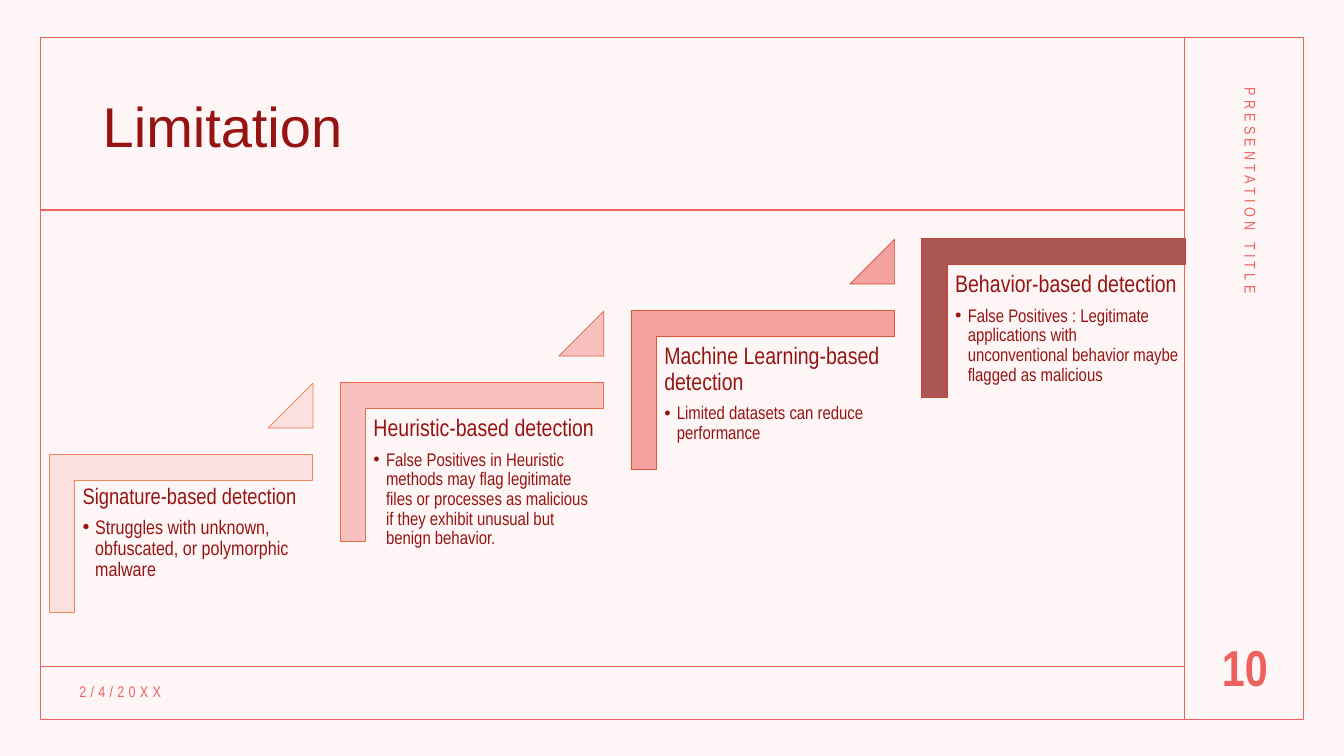
"""Build the Limitation slide: four detection methods on a rising staircase."""
from lxml.etree import SubElement
from pptx import Presentation
from pptx.dml.color import RGBColor
from pptx.enum.shapes import MSO_CONNECTOR, MSO_SHAPE
from pptx.enum.text import MSO_ANCHOR, MSO_AUTO_SIZE, PP_ALIGN
from pptx.oxml.ns import qn
from pptx.util import Pt

CORAL = RGBColor(0xED, 0x62, 0x5F)
DARK_RED = RGBColor(0x95, 0x14, 0x11)
BACKGROUND = RGBColor(0xFE, 0xF6, 0xF6)

STEPS = [
    {"heading": "Signature-based detection",
     "limit": "Struggles with unknown, obfuscated, or polymorphic malware",
     "sizes": (16, 14), "text_shift": -2.5, "fill": RGBColor(0xFB, 0xE0, 0xDF),
     "corner_line": RGBColor(0xF2, 0x85, 0x5A), "triangle_line": RGBColor(0xED, 0x79, 0x51)},
    {"heading": "Heuristic-based detection",
     "limit": "False Positives in Heuristic methods may flag legitimate files or processes "
              "as malicious if they exhibit unusual but benign behavior.",
     "sizes": (17, 13), "text_shift": 0, "fill": RGBColor(0xF8, 0xC0, 0xBF),
     "corner_line": RGBColor(0xE7, 0x6E, 0x48), "triangle_line": RGBColor(0xE0, 0x63, 0x41)},
    {"heading": "Machine Learning-based detection",
     "limit": "Limited datasets can reduce performance",
     "sizes": (17, 13), "text_shift": 0, "fill": RGBColor(0xF4, 0xA1, 0x9F),
     "corner_line": RGBColor(0xD9, 0x58, 0x39), "triangle_line": RGBColor(0xD2, 0x4D, 0x33)},
    {"heading": "Behavior-based detection",
     "limit": "False Positives : Legitimate applications with unconventional behavior "
              "maybe flagged as malicious",
     "sizes": (17, 13), "text_shift": 0, "fill": RGBColor(0xAC, 0x56, 0x54),
     "corner_line": RGBColor(0xC4, 0x47, 0x32), "triangle_line": None},
]
STEP_RIGHT, STEP_UP = 207.75, 51.4

FRAME = (29, 26.6, 902.2, 487.2)
DIVIDERS = [(846, 26.6, 846, 513.8), (29, 150, 846, 150), (29, 476, 846, 476)]

SMALL = {"name": "Arial Narrow", "size": Pt(11), "color": CORAL}
NUMBER = {"name": "Arial Narrow", "size": Pt(36), "color": CORAL, "bold": True}
LABELS = [
    {"text": "PRESENTATION TITLE", "box": (727.2, 203, 324, 28.8), "rotation": 90,
     "format": SMALL, "spacing": 3, "align": PP_ALIGN.LEFT, "anchor": MSO_ANCHOR.TOP},
    {"text": "2/4/20XX", "box": (49.7, 483.8, 248.4, 22.3), "rotation": 0,
     "format": SMALL, "spacing": 3, "align": PP_ALIGN.LEFT, "anchor": MSO_ANCHOR.TOP},
    {"text": "10", "box": (851.8, 446.4, 74.9, 59.8), "rotation": 0,
     "format": NUMBER, "spacing": 0, "align": PP_ALIGN.CENTER, "anchor": MSO_ANCHOR.MIDDLE},
]


def points(values):
    return [Pt(value) for value in values]


def apply_format(font, values):
    for name, value in values.items():
        if name == "color":
            font.color.rgb = value
        else:
            setattr(font, name, value)


def add_filled(slide, kind, box, adjustments, fill, line, width):
    shape = slide.shapes.add_shape(kind, *points(box))
    shape.shadow.inherit = False
    for index, value in enumerate(adjustments):
        shape.adjustments[index] = value
    if fill is None:
        shape.fill.background()
    else:
        shape.fill.solid()
        shape.fill.fore_color.rgb = fill
    shape.line.color.rgb = line
    shape.line.width = Pt(width)
    return shape


def add_frame(slide):
    add_filled(slide, MSO_SHAPE.RECTANGLE, FRAME, (), None, CORAL, 1)
    for ends in DIVIDERS:
        divider = slide.shapes.add_connector(MSO_CONNECTOR.STRAIGHT, *points(ends))
        divider.line.color.rgb = CORAL
        divider.line.width = Pt(1)
        SubElement(divider._element.spPr, qn("a:effectLst"))


def set_title(slide):
    title = slide.shapes.title
    title.left, title.top, title.width, title.height = points((66.2, 43.2, 750.2, 97.9))
    frame = title.text_frame
    frame.text = "Limitation"
    frame.auto_size = MSO_AUTO_SIZE.NONE
    frame.vertical_anchor = MSO_ANCHOR.MIDDLE
    paragraph = frame.paragraphs[0]
    paragraph.alignment = PP_ALIGN.LEFT
    paragraph.line_spacing = 0.9
    apply_format(paragraph.runs[0].font, {"name": "Arial", "size": Pt(40), "color": DARK_RED})


def add_label(slide, label):
    shape = slide.shapes.add_textbox(*points(label["box"]))
    shape.rotation = label["rotation"]
    frame = shape.text_frame
    frame.word_wrap = True
    frame.vertical_anchor = label["anchor"]
    paragraph = frame.paragraphs[0]
    paragraph.alignment = label["align"]
    run = paragraph.add_run()
    run.text = label["text"]
    apply_format(run.font, label["format"])
    if label["spacing"]:
        run._r.get_or_add_rPr().set("spc", str(label["spacing"] * 100))


def add_step_text(slide, step, left, top):
    frame = slide.shapes.add_textbox(*points((left, top, 170, 148.5))).text_frame
    frame.word_wrap = True
    for side in ("left", "top", "right", "bottom"):
        setattr(frame, f"margin_{side}", Pt(5))
    heading, limit = frame.paragraphs[0], frame.add_paragraph()
    limit.level = 1
    properties = limit._p.get_or_add_pPr()
    properties.set("marL", str(Pt(9)))
    properties.set("indent", str(-Pt(9)))
    SubElement(properties, qn("a:buFont"), typeface="Arial")
    SubElement(properties, qn("a:buChar"), char="•")
    texts = (step["heading"], step["limit"])
    for paragraph, text, size, after in zip((heading, limit), texts, step["sizes"], (6, 2)):
        paragraph.line_spacing = 0.9
        paragraph.space_after = Pt(after)
        run = paragraph.add_run()
        run.text = text
        apply_format(run.font, {"name": "Arial Narrow", "size": Pt(size), "color": DARK_RED})


def add_step(slide, index, step):
    right, up = index * STEP_RIGHT, index * STEP_UP
    corner = add_filled(slide, MSO_SHAPE.CORNER, (72.7 + right, 287.3 - up, 113, 188),
                        (0.161, 0.161), step["fill"], step["corner_line"], 0.5)
    corner.rotation = 90
    add_step_text(slide, step, 54 + right, 343.7 - up + step["text_shift"])
    if step["triangle_line"] is not None:
        add_filled(slide, MSO_SHAPE.ISOSCELES_TRIANGLE, (191.5 + right, 273.7 - up, 32, 32),
                   (1,), step["fill"], step["triangle_line"], 0.5)


def main():
    presentation = Presentation()
    presentation.slide_width, presentation.slide_height = points((960, 540))
    slide = presentation.slides.add_slide(presentation.slide_layouts[5])
    slide.background.fill.solid()
    slide.background.fill.fore_color.rgb = BACKGROUND
    add_frame(slide)
    set_title(slide)
    for label in LABELS:
        add_label(slide, label)
    for index, step in enumerate(STEPS):
        add_step(slide, index, step)
    presentation.save("out.pptx")


if __name__ == "__main__":
    main()
